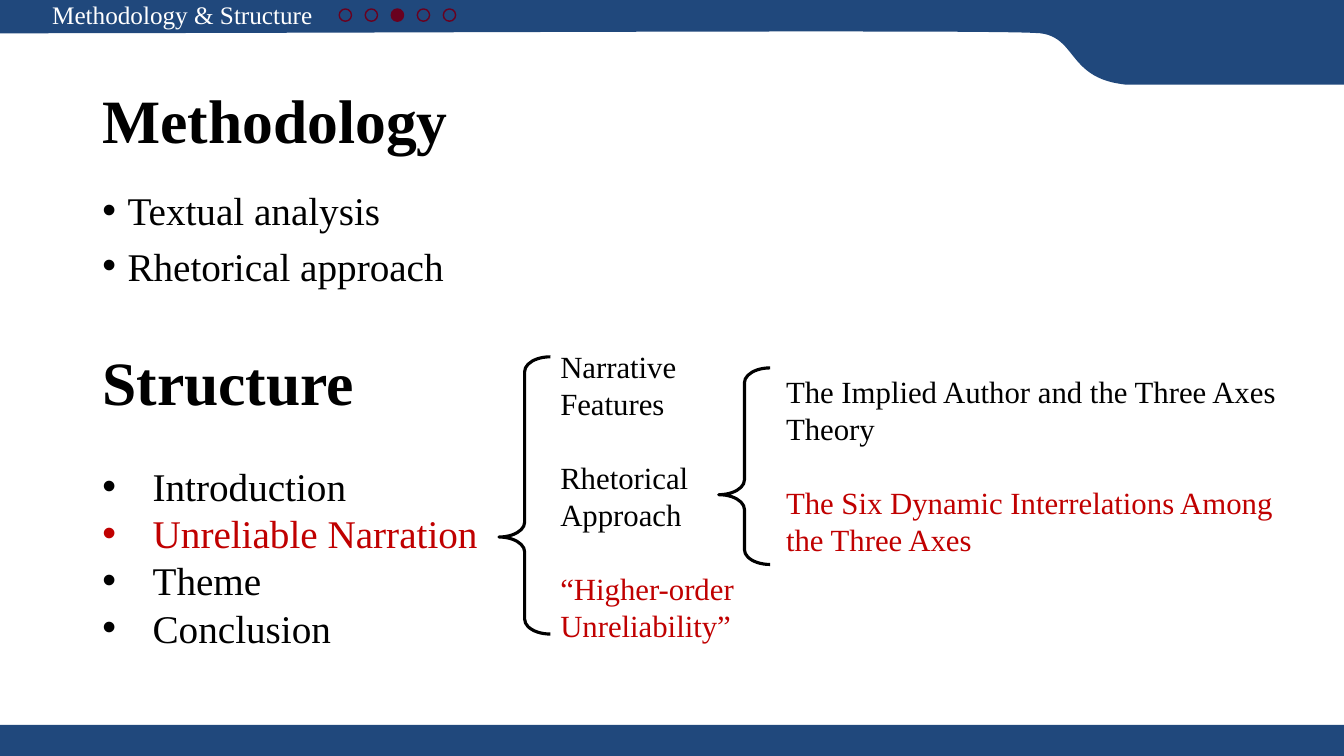
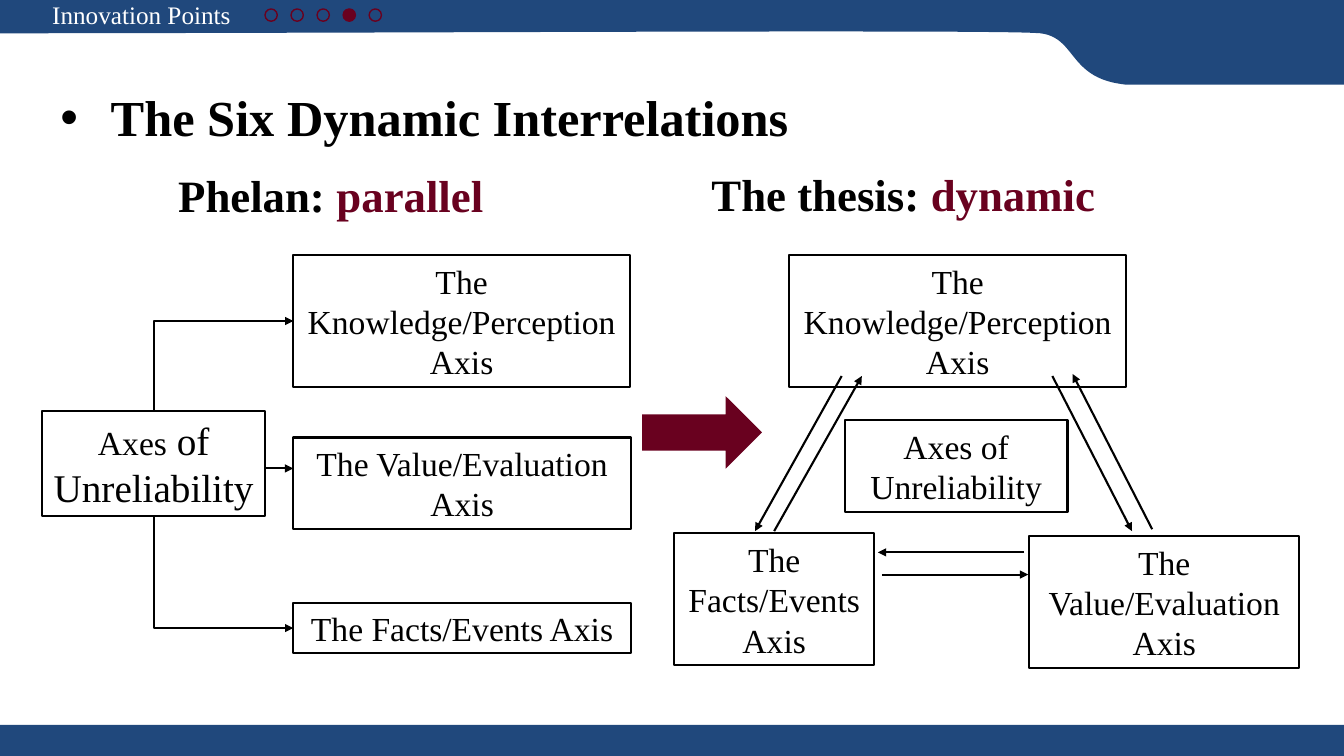
from pptx import Presentation
from pptx.dml.color import RGBColor
from pptx.enum.shapes import MSO_CONNECTOR, MSO_SHAPE
from pptx.enum.text import MSO_ANCHOR, PP_ALIGN
from pptx.oxml.ns import qn
from pptx.util import Pt
from lxml import etree

RECT, OVAL = MSO_SHAPE.RECTANGLE, MSO_SHAPE.OVAL
BRACE, BLOCK_ARROW = MSO_SHAPE.LEFT_BRACE, MSO_SHAPE.RIGHT_ARROW
STRAIGHT, ELBOW = MSO_CONNECTOR.STRAIGHT, MSO_CONNECTOR.ELBOW
TOP, MIDDLE = MSO_ANCHOR.TOP, MSO_ANCHOR.MIDDLE
LEFT, CENTER = PP_ALIGN.LEFT, PP_ALIGN.CENTER

# Shared style
W, H = 960, 540
FONT = "Times New Roman"
COLORS = {"navy": "20487C", "wine": "69011F", "red": "C00000",
          "black": "000000", "white": "FFFFFF"}
TITLE = {"size": 44, "bold": True}
SUBTITLE = {"size": 32, "bold": True}
BODY = {"size": 28}
DETAIL = {"size": 22}
BOX = {"size": 24}
HEADER = {"size": 18, "color": "white"}
RED, WINE = {"color": "red"}, {"color": "wine"}
DETAIL_GAP = 26.4
DOTS, DOT_SIZE, DOT_PITCH, DOT_TOP = 5, 8.8, 18.6, 6.4

# Top band: its straight edge, then two curves (control, control, end)
BAND_EDGE = [(0, -1.4), (W, -1.4), (W, 60.4), (803.5, 60.4), (799.2, 59.8)]
BAND_CURVES = [((763.2, 54), (768.2, 26.6), (743, 23.8)),
               ((717.8, 20.9), (247.7, 23.8), (0, 23.8))]

# Slide 1 content: a paragraph is a list of (text, format) runs
METHODS = [[("Textual analysis", {})], [("Rhetorical approach", {})]]
PARTS = [[("Introduction", {})], [("Unreliable Narration", RED)],
         [("Theme", {})], [("Conclusion", {})]]
NARRATION = [(["Narrative", "Features"], {}),
             (["Rhetorical", "Approach"], {}),
             (["“Higher-order", "Unreliability”"], RED)]
APPROACH = [(["The Implied Author and the Three Axes Theory"], {}),
            (["The Six Dynamic Interrelations Among the Three Axes"], RED)]
BRACES = [((356.4, 254.9, 36.7, 198), 0.65), ((513.4, 262.8, 36.7, 140.4), 0.645)]

# Slide 2 content
SUBTITLES = [((120.2, 115.9, 265, 46), "Phelan: ", "parallel"),
             ((501.1, 115.2, 361.4, 46), "The thesis: ", "dynamic")]
KNOWLEDGE = "The Knowledge/Perception Axis"
VALUE = "The Value/Evaluation Axis"
FACTS = "The Facts/Events Axis"
PARALLEL_BOXES = {
    "root": ((30.2, 293.8, 159.1, 74.9), [("Axes", {}), (" of Unreliability", BODY)]),
    "knowledge": ((209.5, 182.2, 240.5, 94.3), [(KNOWLEDGE, {})]),
    "value": ((209.5, 312.5, 241.2, 65.5), [(VALUE, {})]),
    "facts": ((209.5, 430.6, 241.2, 36), [(FACTS, {})]),
}
DYNAMIC_BOXES = [
    ((563.8, 182.2, 240.5, 94.3), KNOWLEDGE),
    ((481.7, 380.9, 142.6, 94.3), FACTS),
    ((735.1, 383, 193, 94.3), VALUE),
    ((603.4, 300.2, 159.1, 65.5), "Axes of Unreliability"),
]
ARROWS = [
    ((189.3, 334.6), (209.5, 334.6)),
    ((553, 379.4), (615.6, 268.6)), ((601.2, 268.6), (539.3, 379.4)),
    ((751.7, 268.6), (808.6, 379.4)), ((823, 378), (766.1, 267.1)),
    ((630, 410.4), (734.4, 410.4)), ((731.5, 394.6), (627.1, 394.6)),
]


def rgb(name):
    return RGBColor.from_string(COLORS[name])


def paint(shape, fill=None, line=None, width=1.5):
    shape.shadow.inherit = False
    if fill:
        shape.fill.solid()
        shape.fill.fore_color.rgb = rgb(fill)
    else:
        shape.fill.background()
    if line:
        shape.line.color.rgb = rgb(line)
        shape.line.width = Pt(width)
    else:
        shape.line.fill.background()
    return shape


def add_shape(s, kind, box, **look):
    return paint(s.shapes.add_shape(kind, *map(Pt, box)), **look)


def set_bullet(p, indent):
    ppr = p._p.get_or_add_pPr()
    ppr.set("marL", str(Pt(indent)))
    ppr.set("indent", str(-Pt(indent)))
    etree.SubElement(ppr, qn("a:buFont")).set("typeface", "Arial")
    etree.SubElement(ppr, qn("a:buChar")).set("char", "•")


def write(shape, paras, style, anchor=TOP, align=LEFT, indent=0, wrap=True, **spacing):
    tf = shape.text_frame
    tf.word_wrap, tf.vertical_anchor = wrap, anchor
    for i, runs in enumerate(paras):
        p = tf.paragraphs[0] if i == 0 else tf.add_paragraph()
        p.alignment = align
        for name, value in spacing.items():
            setattr(p, name, value)
        if indent:
            set_bullet(p, indent)
        for text, extra in runs:
            fmt = {"color": "black", "bold": False, **style, **extra}
            r = p.add_run()
            r.text = text
            r.font.color.rgb = rgb(fmt["color"])
            for name, value in {"name": FONT, "size": Pt(fmt["size"]),
                                "bold": fmt["bold"]}.items():
                setattr(r.font, name, value)
    return tf


def add_text(s, box, paras, style, **layout):
    return write(s.shapes.add_textbox(*map(Pt, box)), paras, style, **layout)


def add_title(s, box, text, style=TITLE, **layout):
    add_text(s, box, [[(text, {})]], style, anchor=MIDDLE, line_spacing=0.9, **layout)


def add_groups(s, box, groups):
    paras = [[(line, fmt)] for lines, fmt in groups for line in lines]
    tf = add_text(s, box, paras, DETAIL)
    start = 0
    for lines, _ in groups[:-1]:
        start += len(lines)
        tf.paragraphs[start].space_before = Pt(DETAIL_GAP)


def add_box(s, box, runs):
    shape = add_shape(s, RECT, box, line="black")
    write(shape, [runs], BOX, anchor=MIDDLE, align=CENTER)
    return shape


def add_arrow(s, start, end, kind=STRAIGHT):
    c = s.shapes.add_connector(kind, *map(Pt, (*start, *end)))
    c.line.color.rgb = rgb("black")
    c.line.width = Pt(1.5)
    etree.SubElement(c.line._get_or_add_ln(), qn("a:tailEnd")).set("type", "triangle")
    etree.SubElement(c._element.spPr, qn("a:effectLst"))
    return c


def add_corner(s, source, side, target):
    """One-bend arrow from the top or bottom of source to the left of target."""
    x1 = source.left + source.width // 2
    y1 = source.top + (source.height if side == 2 else 0)
    x2, y2 = target.left, target.top + target.height // 2
    c = add_arrow(s, (0, 0), (1, 1), ELBOW)
    c.begin_connect(source, side)
    c.end_connect(target, 1)
    # The bend is drawn on its side, so width and height swap
    c.width, c.height = abs(y2 - y1), x2 - x1
    c.left = (x1 + x2 - c.width) // 2
    c.top = (y1 + y2 - c.height) // 2
    spPr = c._element.spPr
    spPr.find(qn("a:prstGeom")).set("prst", "bentConnector2")
    xfrm = spPr.find(qn("a:xfrm"))
    xfrm.set("rot", "16200000" if side == 2 else "5400000")
    xfrm.set("flipH", "1")
    xfrm.set("flipV", "0" if side == 2 else "1")


def band_points(steps=24):
    points = list(BAND_EDGE)
    for c1, c2, end in BAND_CURVES:
        start = points[-1]
        for i in range(1, steps + 1):
            t = i / steps
            weights = ((1 - t) ** 3, 3 * t * (1 - t) ** 2, 3 * t * t * (1 - t), t ** 3)
            points.append(tuple(sum(w * pt[k] for w, pt in zip(weights, (start, c1, c2, end)))
                                for k in (0, 1)))
    return points


def new_slide(prs, header, dots_left, current):
    s = prs.slides.add_slide(prs.slide_layouts[6])
    # Bands
    add_shape(s, RECT, (0, 517.7, W, H - 517.7), fill="navy")
    first, *rest = [(Pt(x), Pt(y)) for x, y in band_points()]
    outline = s.shapes.build_freeform(*first)
    outline.add_line_segments(rest, close=True)
    paint(outline.convert_to_shape(), fill="navy")
    # Section name and progress dots
    add_text(s, (30.2, -4.3, 203, 28.8), [[(header, {})]], HEADER, wrap=False)
    for i in range(DOTS):
        add_shape(s, OVAL, (dots_left + i * DOT_PITCH, DOT_TOP, DOT_SIZE, DOT_SIZE),
                  fill="wine" if i == current else None, line="wine", width=1)
    return s


def methodology(prs):
    s = new_slide(prs, "Methodology & Structure", 242.3, 2)
    add_title(s, (66, 36, 828, 104.4), "Methodology")
    add_text(s, (66, 129.6, 854, 94.3), METHODS, BODY, indent=18, space_before=Pt(6))
    add_title(s, (66, 223.2, 828, 104.4), "Structure")
    add_text(s, (66, 326.9, 292.3, 143.3), PARTS, BODY, indent=36, wrap=False)
    for box, tip in BRACES:
        brace = add_shape(s, BRACE, box, line="black", width=2.25)
        brace.adjustments[0], brace.adjustments[1] = 0.288, tip
    add_groups(s, (393.1, 244.8, 140.4, 220.3), NARRATION)
    add_groups(s, (554.4, 262.8, 374.4, 140.4), APPROACH)


def innovation(prs):
    s = new_slide(prs, "Innovation Points", 189.3, 3)
    add_title(s, (36, 33.8, 898.6, 104.4), "The Six Dynamic Interrelations",
              {**TITLE, "size": 36}, indent=36)
    for box, lead, key in SUBTITLES:
        add_text(s, box, [[(lead, {}), (key, WINE)]], SUBTITLE)
    # Parallel model
    boxes = {name: add_box(s, *item) for name, item in PARALLEL_BOXES.items()}
    add_corner(s, boxes["root"], 0, boxes["knowledge"])
    add_corner(s, boxes["root"], 2, boxes["facts"])
    add_shape(s, BLOCK_ARROW, (458.6, 283, 85.7, 51.8), fill="wine")
    # Dynamic model
    for box, text in DYNAMIC_BOXES:
        add_box(s, box, [(text, {})])
    for start, end in ARROWS:
        add_arrow(s, start, end)


def main():
    prs = Presentation()
    prs.slide_width, prs.slide_height = Pt(W), Pt(H)
    methodology(prs)
    innovation(prs)
    prs.save("out.pptx")


if __name__ == "__main__":
    main()
